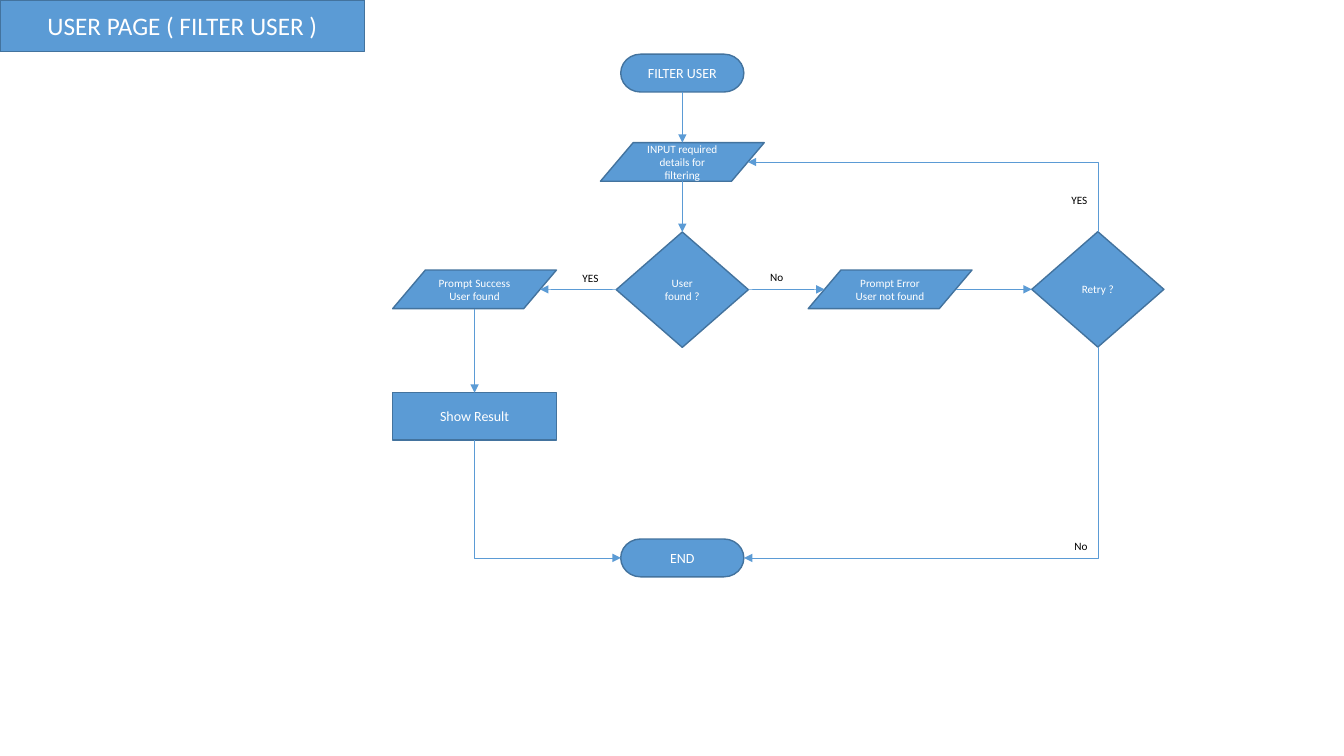
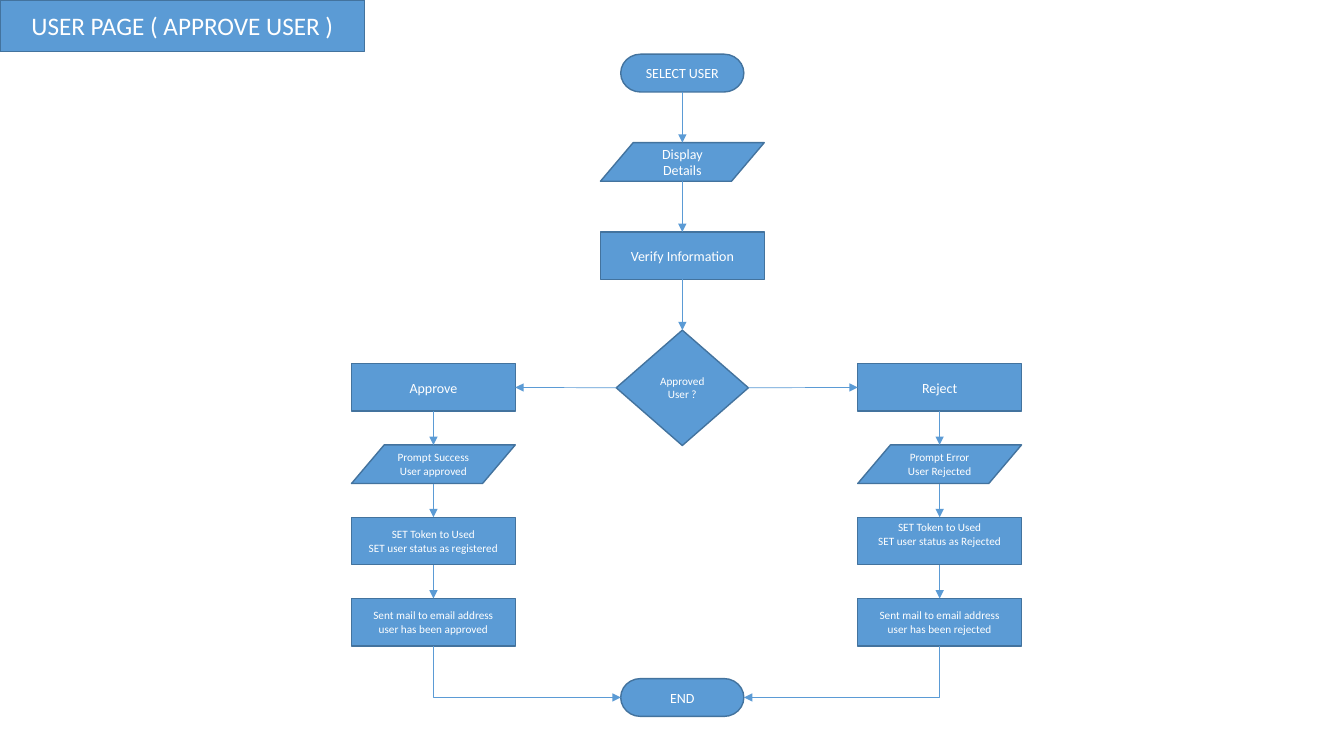
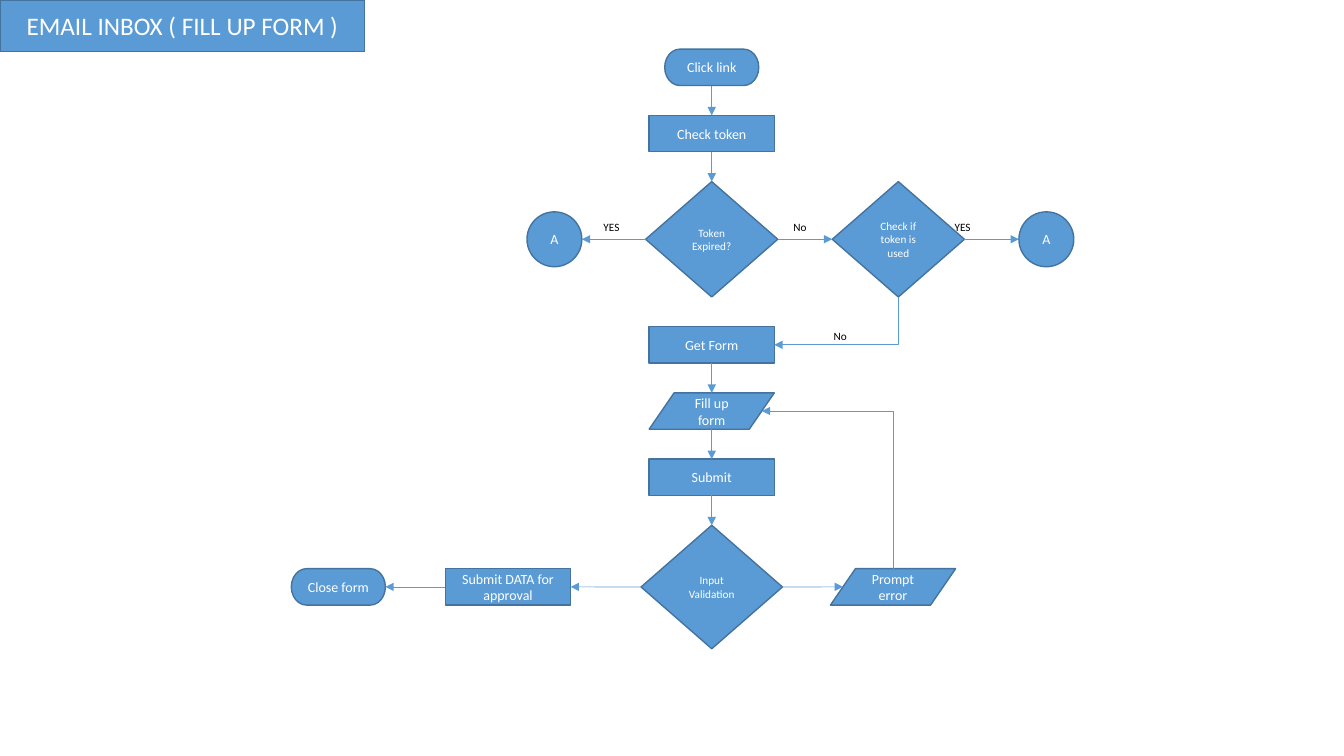
from collections import namedtuple

from lxml.etree import SubElement
from pptx import Presentation
from pptx.dml.color import RGBColor
from pptx.enum.shapes import MSO_CONNECTOR as Route
from pptx.enum.shapes import MSO_SHAPE as Preset
from pptx.enum.text import MSO_ANCHOR as Anchor
from pptx.enum.text import MSO_AUTO_SIZE as AutoSize
from pptx.enum.text import PP_ALIGN as Align
from pptx.oxml.ns import qn
from pptx.util import Pt

FONT = "Calibri"
BLUE, EDGE, WHITE, BLACK = "5B9BD5", "43739E", "FFFFFF", "000000"
TITLE_ONLY = 5

Kind = namedtuple("Kind", "preset width height font")
KINDS = {
    "terminal": Kind(Preset.FLOWCHART_TERMINATOR, 88, 27, 10),
    "input": Kind(Preset.FLOWCHART_DATA, 117, 27.6, 10),
    "process": Kind(Preset.RECTANGLE, 117, 33.9, 10),
    "decision": Kind(Preset.FLOWCHART_DECISION, 94.4, 82.4, 8),
    "small terminal": Kind(Preset.FLOWCHART_TERMINATOR, 67.2, 26, 10),
    "small input": Kind(Preset.FLOWCHART_DATA, 89.4, 26, 10),
    "small process": Kind(Preset.RECTANGLE, 89.4, 26, 10),
    "large decision": Kind(Preset.FLOWCHART_DECISION, 101, 88.2, 8),
    "jump": Kind(Preset.FLOWCHART_CONNECTOR, 39.2, 39.2, 10),
}

SIDES = {"top": (0.5, 0), "left": (0, 0.5), "bottom": (0.5, 1), "right": (1, 0.5)}
SLANTED_SIDES = {**SIDES, "left": (0.1, 0.5), "right": (0.9, 0.5)}
SITES = {
    Preset.FLOWCHART_DATA: {"top": 1, "left": 2, "bottom": 4, "right": 5},
    Preset.FLOWCHART_CONNECTOR: {"top": 0, "left": 2, "bottom": 4, "right": 6},
}
PLAIN_SITES = {"top": 0, "left": 1, "bottom": 2, "right": 3}


def color(value):
    """Turn a hex string into a colour."""
    return RGBColor.from_string(value)


def paint(shape):
    """Give a shape the common fill and outline."""
    shape.fill.solid()
    shape.fill.fore_color.rgb = color(BLUE)
    shape.line.color.rgb = color(EDGE)
    shape.line.width = Pt(1)


def write(frame, text, size, ink, align=Align.CENTER, anchor=Anchor.MIDDLE):
    """Set the text of a frame and format its runs."""
    frame.text = text
    frame.word_wrap = True
    frame.vertical_anchor = anchor
    for paragraph in frame.paragraphs:
        paragraph.alignment = align
        paragraph.line_spacing = 1.0
        for run in paragraph.runs:
            run.font.name = FONT
            run.font.size = Pt(size)
            run.font.color.rgb = color(ink)


def add_page(deck, heading):
    """Add a slide with its heading in the corner band."""
    slide = deck.slides.add_slide(deck.slide_layouts[TITLE_ONLY])
    band = slide.shapes.title
    band.left, band.top, band.width, band.height = Pt(0), Pt(0), Pt(260.6), Pt(36.8)
    paint(band)
    write(band.text_frame, heading, 18, WHITE)
    band.text_frame.auto_size = AutoSize.NONE
    return slide


def add_step(slide, kind, text, x, y, font=None):
    """Add a flowchart step centred on x, y."""
    preset, width, height, usual_font = KINDS[kind]
    step = slide.shapes.add_shape(
        preset, Pt(x - width / 2), Pt(y - height / 2), Pt(width), Pt(height))
    step.shadow.inherit = False
    paint(step)
    write(step.text_frame, text, font or usual_font, WHITE)
    return step


def add_stack(slide, x, top, gap, *steps):
    """Add steps below each other with equal gaps and link them in order."""
    placed = []
    for kind, text, *font in steps:
        height = KINDS[kind].height
        placed.append(add_step(slide, kind, text, x, top + height / 2, *font))
        top += height + gap
    for upper, lower in zip(placed, placed[1:]):
        link(slide, upper, "bottom", lower, "top")
    return placed


def add_label(slide, text, left, top):
    """Add the small answer beside an arrow."""
    label = slide.shapes.add_textbox(Pt(left), Pt(top), Pt(28), Pt(17))
    write(label.text_frame, text, 8, BLACK, Align.LEFT, Anchor.TOP)


def find_joint(step, side):
    """Return the position and site number of a side of a step."""
    slanted = step.auto_shape_type == Preset.FLOWCHART_DATA
    across, down = (SLANTED_SIDES if slanted else SIDES)[side]
    site = SITES.get(step.auto_shape_type, PLAIN_SITES)[side]
    return (round(step.left + across * step.width),
            round(step.top + down * step.height), site)


def finish_arrow(arrow, joints):
    """Style an arrow and attach both of its ends."""
    arrow.line.color.rgb = color(BLUE)
    arrow.line.width = Pt(0.5)
    SubElement(arrow.line._get_or_add_ln(), qn("a:tailEnd"), type="triangle")
    SubElement(arrow._element.spPr, qn("a:effectLst"))
    ends = arrow._element.nvCxnSpPr.cNvCxnSpPr
    for tag, (step, site) in zip(("a:stCxn", "a:endCxn"), joints):
        SubElement(ends, qn(tag), id=str(step.shape_id), idx=str(site))


def link(slide, source, source_side, target, target_side):
    """Draw a straight arrow between two steps."""
    x1, y1, start = find_joint(source, source_side)
    x2, y2, end = find_joint(target, target_side)
    arrow = slide.shapes.add_connector(Route.STRAIGHT, x1, y1, x2, y2)
    finish_arrow(arrow, ((source, start), (target, end)))


def link_bent(slide, source, source_side, target, target_side):
    """Draw an arrow that leaves vertically and arrives horizontally."""
    x1, y1, start = find_joint(source, source_side)
    x2, y2, end = find_joint(target, target_side)
    across, down = abs(x2 - x1), abs(y2 - y1)
    left, top = (x1 + x2 - down) // 2, (y1 + y2 - across) // 2
    arrow = slide.shapes.add_connector(
        Route.ELBOW, left, top, left + down, top + across)
    geometry = arrow._element.spPr
    geometry.find(qn("a:prstGeom")).set("prst", "bentConnector2")
    frame = geometry.find(qn("a:xfrm"))
    falls, goes_left = y2 > y1, x2 < x1
    frame.set("rot", str((90 if falls and goes_left else 270) * 60000))
    if falls and not goes_left:
        frame.set("flipH", "1")
    if goes_left and not falls:
        frame.set("flipV", "1")
    finish_arrow(arrow, ((source, start), (target, end)))


def add_filter_page(deck):
    """Build the flow for filtering users."""
    slide = add_page(deck, "USER PAGE ( FILTER USER )")
    success_x, axis, error_x, retry_x = (339 + 148.4 * i for i in range(4))
    row = 206.7
    _, details, found = add_stack(
        slide, axis, 38.7, 36.2,
        ("terminal", "FILTER USER"),
        ("input", "INPUT required details for filtering", 8),
        ("decision", "User found ?"))
    success, result = add_stack(
        slide, success_x, row - 13.8, 60,
        ("input", "Prompt Success\nUser found", 8),
        ("process", "Show Result"))
    error = add_step(slide, "input", "Prompt Error\nUser not found", error_x, row, 8)
    retry = add_step(slide, "decision", "Retry ?", retry_x, row)
    end = add_step(slide, "terminal", "END", axis, 398.5)
    link(slide, found, "left", success, "right")
    link(slide, found, "right", error, "left")
    link(slide, error, "right", retry, "left")
    link_bent(slide, retry, "top", details, "right")
    link_bent(slide, retry, "bottom", end, "right")
    link_bent(slide, result, "bottom", end, "left")
    for text, left, top in (("YES", 409, 190), ("No", 543, 189.4),
                            ("YES", 758.2, 134.6), ("No", 760.3, 381.6)):
        add_label(slide, text, left, top)


def add_approve_page(deck):
    """Build the flow for approving or rejecting users."""
    slide = add_page(deck, "USER PAGE ( APPROVE USER )")
    axis = 487.4
    *_, approved = add_stack(
        slide, axis, 38.7, 36.2,
        ("terminal", "SELECT USER"),
        ("input", "Display Details"),
        ("process", "Verify Information"),
        ("decision", "Approved User ?"))
    end = add_step(slide, "terminal", "END", axis, 498.2)
    branches = (
        ("left", "right", 309.6, "Approve", "Success User approved",
         "registered", "approved"),
        ("right", "left", 671.2, "Reject", "Error User Rejected",
         "Rejected", "rejected"))
    for side, facing, x, action, prompt, status, outcome in branches:
        first, _, token, mail = add_stack(
            slide, x, 259.8, 24.1,
            ("process", action),
            ("input", f"Prompt {prompt}", 8),
            ("process", f"SET Token to Used\nSET user status as {status}", 8),
            ("process", f"Sent mail to email address\nuser has been {outcome}", 8))
        link(slide, approved, side, first, facing)
        link_bent(slide, mail, "bottom", end, side)
    token.text_frame.margin_bottom = Pt(13.4)


def add_form_page(deck):
    """Build the flow for filling up the form from the inbox."""
    slide = add_page(deck, "EMAIL INBOX ( FILL UP FORM )")
    axis, gap = 508.4, 21.3
    token_row, check_row = 170.9, 419.2
    *_, expired = add_stack(
        slide, axis, 35.1, gap,
        ("small terminal", "Click link"),
        ("small process", "Check token"),
        ("decision", "Token Expired?"))
    form, fill_up, _, validation = add_stack(
        slide, axis, 233.3, gap,
        ("small process", "Get Form"),
        ("small input", "Fill up form"),
        ("small process", "Submit"),
        ("large decision", "Input\nValidation"))
    expired_jump = add_step(slide, "jump", "A", 396, token_row)
    used = add_step(slide, "decision", "Check if token is used", 641.7, token_row)
    used_jump = add_step(slide, "jump", "A", 747.4, token_row)
    data = add_step(
        slide, "small process", "Submit DATA for approval", 362.9, check_row)
    close = add_step(slide, "small terminal", "Close form", 241.7, check_row)
    error = add_step(slide, "small input", "Prompt error", 637.9, check_row)
    for source, target in ((expired, expired_jump), (validation, data), (data, close)):
        link(slide, source, "left", target, "right")
    for source, target in ((expired, used), (used, used_jump), (validation, error)):
        link(slide, source, "right", target, "left")
    link_bent(slide, used, "bottom", form, "right")
    link_bent(slide, error, "top", fill_up, "right")
    for text, left, top in (("YES", 424, 154), ("No", 559.6, 154),
                            ("YES", 674.8, 154), ("No", 588.4, 232)):
        add_label(slide, text, left, top)


def main():
    """Build the deck and save it."""
    deck = Presentation()
    deck.slide_width, deck.slide_height = Pt(960), Pt(540)
    add_filter_page(deck)
    add_approve_page(deck)
    add_form_page(deck)
    deck.save("out.pptx")


if __name__ == "__main__":
    main()
